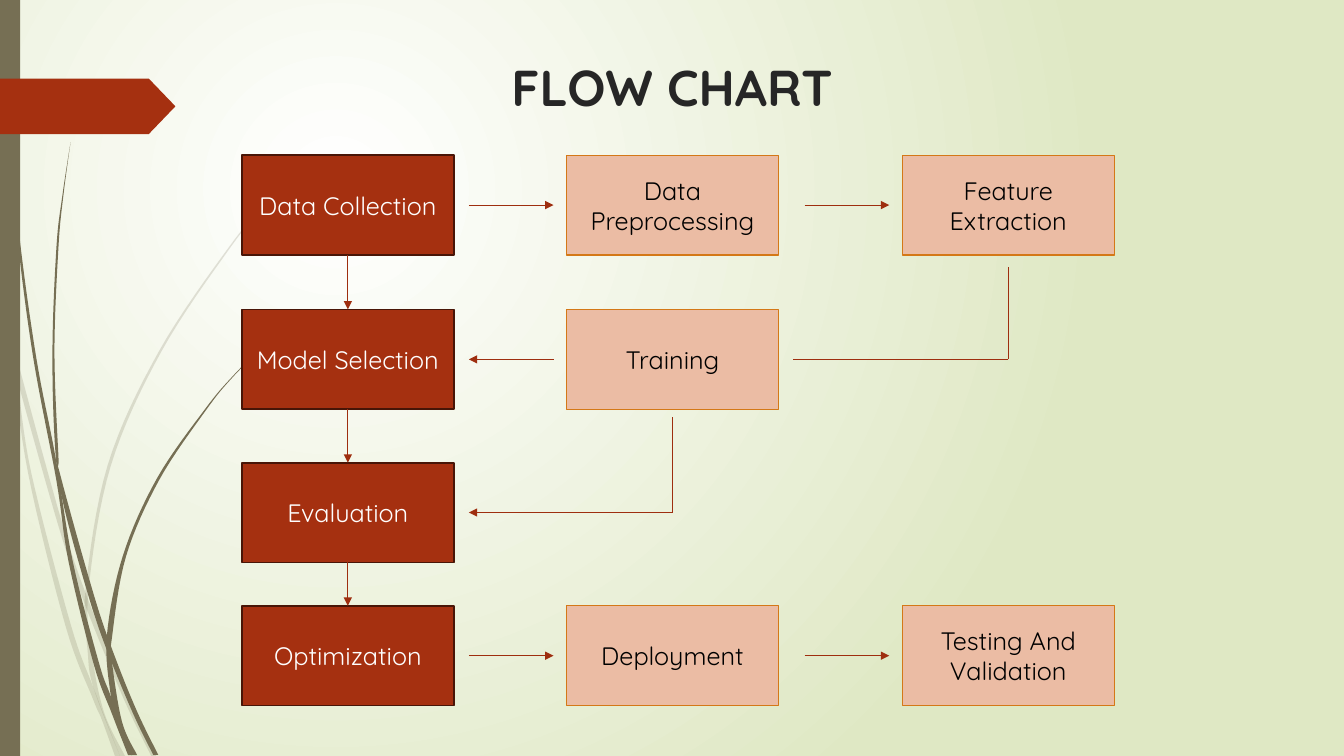
import pptx
import pptx.util
import pptx.dml.color
import pptx.enum.dml
import pptx.enum.shapes
import pptx.enum.text
import pptx.oxml
import pptx.oxml.ns
from lxml import etree

Inches, Pt = pptx.util.Inches, pptx.util.Pt
SHAPE = pptx.enum.shapes.MSO_SHAPE
ANCHOR = pptx.enum.text.MSO_ANCHOR
qn = pptx.oxml.ns.qn

# Content: step, column, row
TITLE = "FLOW CHART"
STEPS = [
    ("Data Collection", 0, 0), ("Data Preprocessing", 1, 0), ("Feature Extraction", 2, 0),
    ("Model Selection", 0, 1), ("Training", 1, 1),
    ("Evaluation", 0, 2),
    ("Optimization", 0, 3), ("Deployment", 1, 3), ("Testing And Validation", 2, 3),
]
FORWARD_ARROWS = [(1, 0), (2, 0), (1, 3), (2, 3)]  # column and row each one leads to

# Grid of the chart, in inches
COLUMNS = [2.4, 5.62, 8.95]
ROWS = [1.54, 3.07, 4.59, 6.01]
BOX_W, BOX_H = 2.1, 0.99
ARROW_LENGTH, ARROW_GAP = 0.84, 0.13

# Colours
FONT = "Quicksand"
RUST, OLIVE, ARROW = "A53010", "766F54", "9E2E0F"
MAIN_STYLE = (RUST, "481507", 1.25, "FFFFFF")
SIDE_STYLE = ("EBBCA4", "D47817", 0.75, "000000")

# Grass blades: left edge and right edge, from tip to root
PALE_BLADES = [
    ([(0, 2.99), (0.1, 3.44), (0.17, 3.76), (0.58, 5.22), (0.84, 5.99), (1.23, 6.94), (1.5, 7.5)],
     [(0, 2.82), (0.09, 3.22), (0.14, 3.45), (0.62, 5.2), (0.92, 6.07), (1.27, 6.92), (1.55, 7.5)]),
    ([(0.11, 3.5), (0.28, 4.7), (0.65, 6.21), (0.92, 6.93), (1.01, 7.14), (1.14, 7.5)],
     [(0.11, 3.5), (0.17, 3.76), (0.31, 4.69), (0.7, 6.19), (0.93, 6.83), (1.19, 7.5)]),
    ([(3.12, 1.53), (2.68, 1.97), (2.28, 2.44), (1.58, 3.48), (1.07, 4.61), (0.85, 5.84),
      (0.87, 6.46), (0.93, 6.83), (1.19, 7.5)],
     [(3.12, 1.54), (2.68, 1.98), (2.29, 2.45), (1.6, 3.49), (1.1, 4.62), (0.88, 5.84),
      (0.91, 6.46), (1.03, 7.06), (1.24, 7.5)]),
]
DARK_BLADES = [
    ([(0.03, 0), (0.07, 1.1), (0.17, 2.33), (0.33, 3.55), (0.56, 4.77), (0.68, 5.57),
      (0.93, 6.59), (1.11, 7.08), (1.27, 7.49)],
     [(0.04, 0), (0.08, 1.09), (0.19, 2.32), (0.36, 3.55), (0.55, 4.53), (0.72, 5.56),
      (0.98, 6.57), (1.1, 6.91), (1.31, 7.49)]),
    ([(0.7, 1.41), (0.62, 1.93), (0.56, 2.45), (0.52, 3.49), (0.55, 4.49), (0.64, 5.05),
      (0.88, 5.92), (1.06, 6.45), (1.32, 7.08), (1.52, 7.49)],
     [(0.7, 1.41), (0.63, 1.93), (0.58, 2.45), (0.54, 3.49), (0.58, 4.53), (0.6, 4.72),
      (0.93, 5.9), (1.13, 6.49), (1.36, 7.06), (1.57, 7.49)]),
    ([(2.6, 3.44), (2.31, 3.73), (2.04, 4.05), (1.56, 4.74), (1.22, 5.51), (1.06, 6.31),
      (1.1, 6.91), (1.17, 7.22), (1.3, 7.49)],
     [(2.61, 3.44), (2.31, 3.74), (2.05, 4.06), (1.58, 4.76), (1.25, 5.52), (1.11, 6.33),
      (1.11, 6.56), (1.21, 7.16), (1.36, 7.49)]),
]


def rgb(code):
    return pptx.dml.color.RGBColor.from_string(code)


def paint(shape, fill, line=None, width=0):
    shape.shadow.inherit = False
    shape.fill.solid()
    shape.fill.fore_color.rgb = rgb(fill)
    if line:
        shape.line.color.rgb = rgb(line)
        shape.line.width = Pt(width)
    else:
        shape.line.fill.background()


def write(shape, text, size, color, anchor, bold=False):
    frame = shape.text_frame
    frame.word_wrap = True
    frame.vertical_anchor = anchor
    frame.text = text
    line = frame.paragraphs[0]
    line.alignment = pptx.enum.text.PP_ALIGN.CENTER
    font = line.runs[0].font
    font.name, font.size, font.bold = FONT, Pt(size), bold
    font.color.rgb = rgb(color)


def add_block(slide, kind, left, top, width, height):
    return slide.shapes.add_shape(kind, Inches(left), Inches(top), Inches(width), Inches(height))


def smooth_edge(points, steps=8):
    """Return a Catmull-Rom curve through the points."""
    padded = [points[0], *points, points[-1]]
    curve = [points[0]]
    for a, b, c, d in zip(padded, padded[1:], padded[2:], padded[3:]):
        for t in (i / steps for i in range(1, steps + 1)):
            curve.append(tuple(
                0.5 * (2 * q + (r - p) * t + (2 * p - 5 * q + 4 * r - s) * t ** 2
                       + (3 * q - p - 3 * r + s) * t ** 3)
                for p, q, r, s in zip(a, b, c, d)))
    return curve


def add_blade(slide, left_edge, right_edge, alpha):
    outline = smooth_edge(left_edge) + smooth_edge(right_edge)[::-1]
    points = [(Inches(x), Inches(y)) for x, y in outline]
    builder = slide.shapes.build_freeform(*points[0], scale=1.0)
    builder.add_line_segments(points[1:], close=True)
    blade = builder.convert_to_shape()
    paint(blade, OLIVE)
    if alpha < 100:
        color = blade.element.spPr.find(".//" + qn("a:srgbClr"))
        etree.SubElement(color, qn("a:alpha"), val=str(alpha * 1000))


def add_flow(slide, start, end, arrow=True):
    flow = slide.shapes.add_connector(
        pptx.enum.shapes.MSO_CONNECTOR.STRAIGHT, *(Inches(v) for v in (*start, *end)))
    flow.line.color.rgb = rgb(ARROW)
    flow.line.width = Pt(0.75)
    if arrow:
        etree.SubElement(flow.line._get_or_add_ln(), qn("a:tailEnd"), type="triangle")
    etree.SubElement(flow.element.spPr, qn("a:effectLst"))


def set_background(slide):
    fill = slide.background.fill
    fill.gradient()
    for stop, code in zip(fill.gradient_stops, ("FFFFFF", "DFE8C4")):
        stop.color.rgb = rgb(code)
    gradient = slide.element.find(".//" + qn("a:gradFill"))
    gradient.remove(gradient.find(qn("a:lin")))
    glow = etree.SubElement(gradient, qn("a:path"), {"path": "circle"})
    etree.SubElement(glow, qn("a:fillToRect"), l="50000", t="50000", r="100000", b="100000")


def main():
    deck = pptx.Presentation()
    deck.slide_width, deck.slide_height = Inches(13.33), Inches(7.5)
    slide = deck.slides.add_slide(deck.slide_layouts[6])

    # Backdrop
    set_background(slide)
    for blades, alpha in ((PALE_BLADES, 20), (DARK_BLADES, 100)):
        for left_edge, right_edge in blades:
            add_blade(slide, left_edge, right_edge, alpha)
    paint(add_block(slide, SHAPE.RECTANGLE, 0, 0, 0.2, 7.5), OLIVE)
    tag = add_block(slide, SHAPE.PENTAGON, 0, 0.78, 1.74, 0.55)
    tag.adjustments[0] = 0.48
    paint(tag, RUST)

    # Title
    title = slide.shapes.add_textbox(Inches(1.79), Inches(0.51), Inches(9.75), Inches(1.4))
    write(title, TITLE, 36, "262626", ANCHOR.TOP, bold=True)

    # Steps
    for step, column, row in STEPS:
        fill, line, width, ink = SIDE_STYLE if column else MAIN_STYLE
        box = add_block(slide, SHAPE.RECTANGLE, COLUMNS[column], ROWS[row], BOX_W, BOX_H)
        paint(box, fill, line, width)
        write(box, step, 18, ink, ANCHOR.MIDDLE)

    # Arrows along the rows and down the first column
    centers = [x + BOX_W / 2 for x in COLUMNS]
    middles = [y + BOX_H / 2 for y in ROWS]
    for column, row in FORWARD_ARROWS:
        tip = COLUMNS[column] - ARROW_GAP
        add_flow(slide, (tip - ARROW_LENGTH, middles[row]), (tip, middles[row]))
    for upper, lower in zip(ROWS, ROWS[1:]):
        add_flow(slide, (centers[0], upper + BOX_H), (centers[0], lower))

    # Return paths: features to training to selection, training to evaluation
    back_tip = COLUMNS[1] - ARROW_GAP - ARROW_LENGTH
    add_flow(slide, (centers[2], 2.65), (centers[2], middles[1]), arrow=False)
    add_flow(slide, (centers[2], middles[1]), (7.87, middles[1]), arrow=False)
    add_flow(slide, (back_tip + ARROW_LENGTH, middles[1]), (back_tip, middles[1]))
    add_flow(slide, (centers[1], 4.14), (centers[1], middles[2]), arrow=False)
    add_flow(slide, (centers[1], middles[2]), (back_tip, middles[2]))

    deck.save("out.pptx")


if __name__ == "__main__":
    main()
